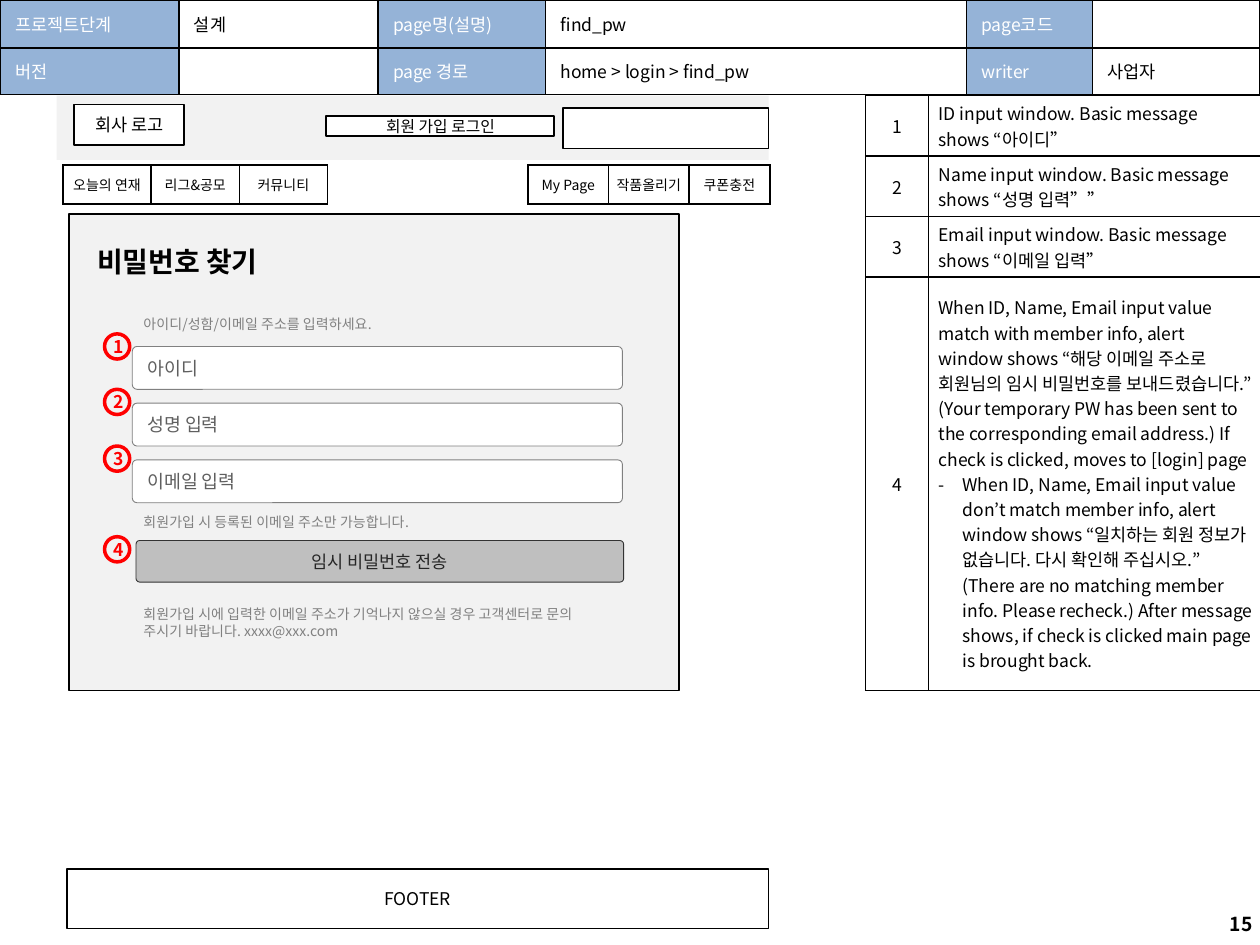
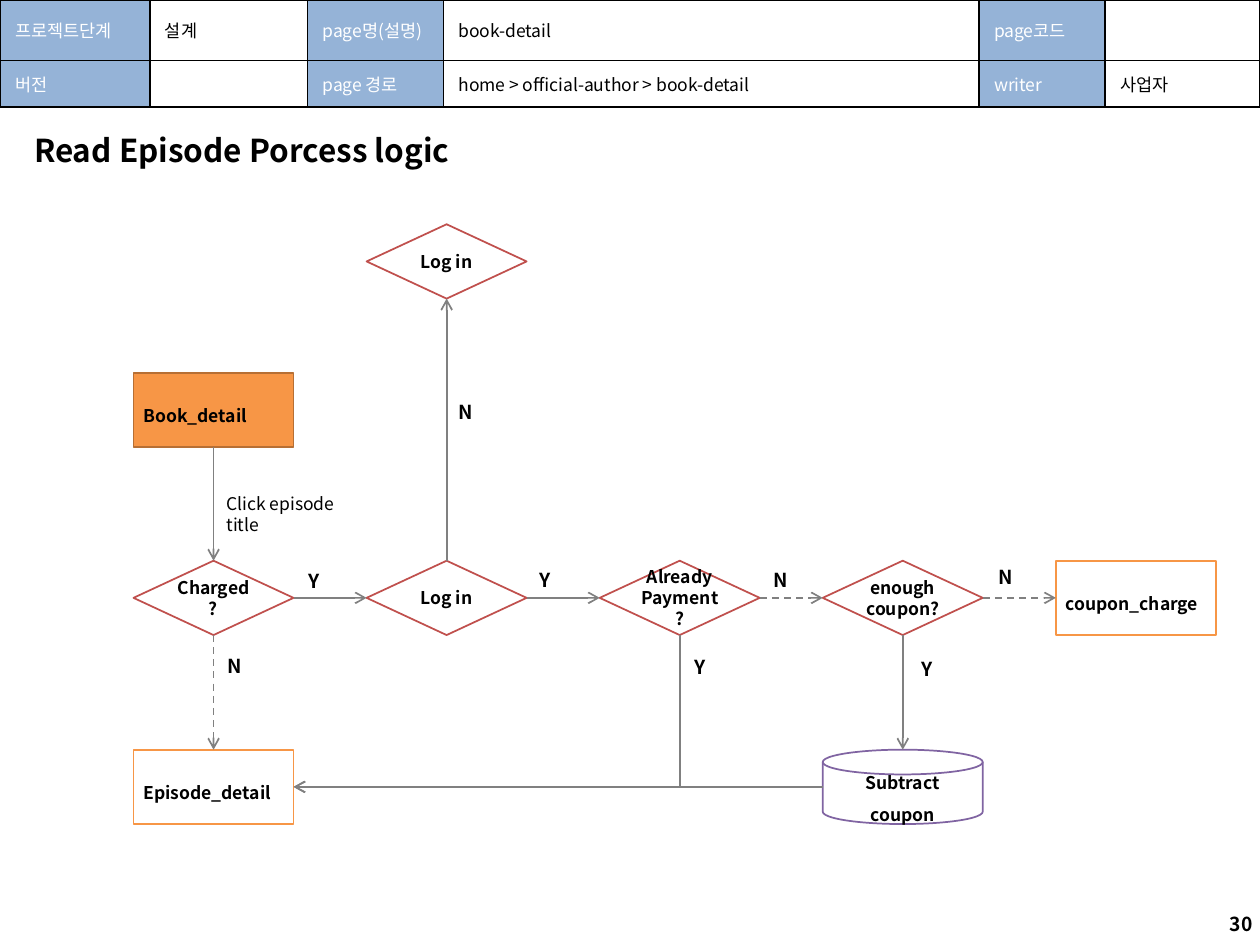
import dataclasses

import pptx
import pptx.dml.color
import pptx.enum.dml
import pptx.enum.shapes
import pptx.enum.text
import pptx.oxml.ns
import pptx.util
from lxml import etree

Inches, Pt = pptx.util.Inches, pptx.util.Pt
RGB = pptx.dml.color.RGBColor.from_string
MSO = pptx.enum.shapes.MSO_SHAPE
LINK = pptx.enum.shapes.MSO_CONNECTOR
ALIGN = pptx.enum.text.PP_ALIGN
ANCHOR = pptx.enum.text.MSO_ANCHOR
qn = pptx.oxml.ns.qn


@dataclasses.dataclass(frozen=True)
class Theme:
    font: str = "Noto Sans CJK KR"
    field_font: str = "Roboto"
    button_font: str = "Calibri"
    black: str = "000000"
    white: str = "FFFFFF"
    label: str = "95B3D7"
    panel: str = "F2F2F2"
    gray: str = "808080"
    field_text: str = "5F5F5F"
    button: str = "BFBFBF"
    button_line: str = "333333"
    button_text: str = "262626"
    marker: str = "FF0000"
    start: str = "F79646"
    start_line: str = "B76F34"
    decision: str = "C0504D"
    store: str = "8064A2"
    small: float = 8
    login: float = 9
    body: float = 10
    field: float = 10.5
    emphasis: float = 11
    heading: float = 16
    title: float = 18


T = Theme()


def write(frame, text, size=T.body, color=T.black, bold=False, font=T.font,
          align=ALIGN.LEFT, spacing=None):
    """Fill a text frame, one paragraph per line of text."""
    frame.word_wrap = True
    for number, line in enumerate(text.split("\n")):
        paragraph = frame.add_paragraph() if number else frame.paragraphs[0]
        paragraph.alignment = align
        if spacing:
            paragraph.line_spacing = spacing
        if not line:
            etree.SubElement(paragraph._p, qn("a:endParaRPr"), sz=str(int(size * 100)))
            continue
        run = paragraph.add_run()
        run.text = line
        run.font.size, run.font.bold, run.font.name = Pt(size), bold, font
        run.font.color.rgb = RGB(color)
        etree.SubElement(run.font._element, qn("a:ea"), typeface=T.font)


def box(slide, at, text="", kind=None, fill=None, line=None, width=1, radius=None,
        insets=(0.1, 0.05), anchor=ANCHOR.MIDDLE, **style):
    """Add a preset shape, or a text box when no kind is given."""
    at = [Inches(value) for value in at]
    if kind is None:
        shape = slide.shapes.add_textbox(*at)
    else:
        shape = slide.shapes.add_shape(kind, *at)
        shape.shadow.inherit = False
        for paint, color in ((shape.fill, fill), (shape.line.fill, line)):
            if color:
                paint.solid()
                paint.fore_color.rgb = RGB(color)
            else:
                paint.background()
        if line:
            shape.line.width = Pt(width)
        if radius:
            shape.adjustments[0] = radius
    frame = shape.text_frame
    frame.margin_left = frame.margin_right = Inches(insets[0])
    frame.margin_top = frame.margin_bottom = Inches(insets[1])
    frame.vertical_anchor = anchor
    if text:
        write(frame, text, **style)
    return shape


prs = pptx.Presentation()
prs.slide_width, prs.slide_height = Inches(10), Inches(7.5)
find_pw, book_detail = [prs.slides.add_slide(prs.slide_layouts[5]) for _ in range(2)]

# Page information, navigation and description tables
page_info = [
    (find_pw, "find_pw", "home > login > find_pw", "15",
     (1.42, 1.58, 1.33, 3.34, 1, 1.33), (0.38, 0.37)),
    (book_detail, "book-detail", "home > official-author > book-detail", "30",
     (1.19, 1.25, 1.08, 4.25, 1, 1.23), (0.48, 0.37)),
]
tables = []
for slide, page, route, number, columns, rows in page_info:
    cells = [["프로젝트단계", "설계", "page명(설명)", page, "page코드", ""],
             ["버전", "", "page 경로", route, "writer", "사업자"]]
    tables.append((slide, "info", 0, 0, columns, rows, cells))
    box(slide, (7.71, 7.13, 2.33, 0.4), number, size=T.emphasis, bold=True, align=ALIGN.RIGHT)

descriptions = [
    "ID input window. Basic message shows “아이디”",
    "Name input window. Basic message shows “성명 입력””",
    "Email input window. Basic message shows “이메일 입력”",
    "When ID, Name, Email input value match with member info, alert window shows "
    "“해당 이메일 주소로 회원님의 임시 비밀번호를 보내드렸습니다.” (Your temporary PW has been "
    "sent to the corresponding email address.) If check is clicked, moves to [login] page\n"
    "When ID, Name, Email input value don’t match member info, alert window shows "
    "“일치하는 회원 정보가 없습니다. 다시 확인해 주십시오.” (There are no matching member info. "
    "Please recheck.) After message shows, if check is clicked main page is brought back.",
]
tables += [
    (find_pw, "nav", 0.5, 1.31, (0.7,) * 3, (0.31,), [["오늘의 연재", "리그&공모", "커뮤니티"]]),
    (find_pw, "nav", 4.19, 1.31, (0.64,) * 3, (0.31,), [["My Page", "작품올리기", "쿠폰충전"]]),
    (find_pw, "notes", 6.87, 0.76, (0.5, 2.65), (0.48, 0.48, 0.48, 3.28),
     [[str(n), text] for n, text in enumerate(descriptions, 1)]),
]
cell_insets = {"info": (0.12, 0.04), "nav": (0.04, 0.05), "notes": (0.08, 0.04)}

for slide, role, left, top, columns, rows, cells in tables:
    grid = slide.shapes.add_table(len(rows), len(columns), Inches(left), Inches(top),
                                  Inches(sum(columns)), Inches(sum(rows))).table
    grid.first_row = grid.horz_banding = False
    for column, width in zip(grid.columns, columns):
        column.width = Inches(width)
    for r, height in enumerate(rows):
        grid.rows[r].height = Inches(height)
        for c, text in enumerate(cells[r]):
            cell = grid.cell(r, c)
            cell.margin_left = cell.margin_right = Inches(cell_insets[role][0])
            cell.margin_top = cell.margin_bottom = Inches(cell_insets[role][1])
            cell.vertical_anchor = ANCHOR.MIDDLE
            for side in ("a:lnL", "a:lnR", "a:lnT", "a:lnB"):
                border = etree.SubElement(cell._tc.get_or_add_tcPr(), qn(side), w="12700")
                paint = etree.SubElement(border, qn("a:solidFill"))
                etree.SubElement(paint, qn("a:srgbClr"), val=T.black)
            is_label = role == "info" and c % 2 == 0
            if is_label or role == "nav":
                cell.fill.solid()
                cell.fill.fore_color.rgb = RGB(T.label if is_label else T.white)
            else:
                cell.fill.background()
            centered = role == "nav" or (role == "notes" and c == 0)
            write(cell.text_frame, text, size=T.small if role == "nav" else T.body,
                  color=T.white if is_label else T.black,
                  align=ALIGN.CENTER if centered else ALIGN.LEFT)
            for paragraph in cell.text_frame.paragraphs[1:]:
                props = paragraph._p.get_or_add_pPr()
                props.set("marL", str(Inches(0.19)))
                props.set("indent", str(-Inches(0.19)))
                etree.SubElement(props, qn("a:buFont"), typeface=T.font)
                etree.SubElement(props, qn("a:buChar"), char="-")

# Password page: site header, form panel and footer
box(find_pw, (0.45, 0.76, 5.65, 0.51), kind=MSO.RECTANGLE, fill=T.panel)
form_panel = box(find_pw, (0.55, 1.7, 4.84, 3.78), kind=MSO.RECTANGLE, fill=T.panel, line=T.black)
for at, text, size in [
    ((0.59, 0.83, 0.87, 0.32), "회사 로고", T.body),
    ((4.47, 0.86, 1.63, 0.32), "", T.body),
    ((2.59, 0.92, 1.81, 0.16), "회원 가입 로그인", T.login),
    ((0.53, 6.9, 5.57, 0.47), "FOOTER", T.body),
]:
    box(find_pw, at, text, MSO.RECTANGLE, T.white, T.black, size=size, align=ALIGN.CENTER)

for top, text in [(2.75, "아이디"), (3.2, "성명 입력"), (3.65, "이메일 입력")]:
    box(find_pw, (1.05, top, 3.89, 0.34), text, MSO.ROUNDED_RECTANGLE, T.white, T.gray, 0.5,
        0.108, (0.11, 0.07), size=T.field, color=T.field_text, font=T.field_font)
box(find_pw, (1.08, 4.29, 3.87, 0.33), "임시 비밀번호 전송", MSO.ROUNDED_RECTANGLE, T.button,
    T.button_line, 0.5, 0.088, color=T.button_text, font=T.button_font, align=ALIGN.CENTER)

for top, width, hint in [
    (2.42, 3.32, "아이디/성함/이메일 주소를 입력하세요."),
    (3.99, 3.32, "회원가입 시 등록된 이메일 주소만 가능합니다."),
    (4.79, 3.92, "회원가입 시에 입력한 이메일 주소가 기억나지 않으실 경우 고객센터로 문의 "
                 "주시기 바랍니다. xxxx@xxx.com"),
]:
    box(find_pw, (1.04, top, width, 0.3), hint, size=T.small, color=T.gray)

for number, top in enumerate((2.65, 3.09, 3.54, 4.26), 1):
    box(find_pw, (0.83, top, 0.2, 0.2), str(number), MSO.OVAL, line=T.marker, width=2,
        color=T.marker, bold=True, align=ALIGN.CENTER)

# Titles
for slide, text, at, size, insets, anchor in [
    (find_pw, "비밀번호 찾기", (0.69, 1.89, 1.48, 0.37), T.heading, (0.08, 0.04), ANCHOR.MIDDLE),
    (book_detail, "Read Episode Porcess logic", (0.17, 0.99, 6.8, 0.4), T.title, (0.1, 0.05),
     ANCHOR.TOP),
]:
    title = slide.shapes.title
    title.left, title.top, title.width, title.height = [Inches(value) for value in at]
    frame = title.text_frame
    frame.auto_size = pptx.enum.text.MSO_AUTO_SIZE.NONE
    frame.margin_left = frame.margin_right = Inches(insets[0])
    frame.margin_top = frame.margin_bottom = Inches(insets[1])
    frame.vertical_anchor = anchor
    write(frame, text, size=size, bold=True)
form_panel.element.addnext(find_pw.shapes.title.element)

# Episode flow: steps
STEP_W, STEP_H = 1.27, 0.59
decision = dict(kind=MSO.FLOWCHART_DECISION, fill=T.white, line=T.decision, insets=(0, 0),
                align=ALIGN.CENTER)
screen = dict(kind=MSO.RECTANGLE, fill=T.white, line=T.start, insets=(0.08, 0.04), spacing=1.5)
start = {**screen, "fill": T.start, "line": T.start_line}
store = {**screen, "kind": MSO.FLOWCHART_MAGNETIC_DISK, "line": T.store, "align": ALIGN.CENTER}
steps = {}
for key, left, top, text, look in [
    ("book", 1.06, 2.96, "Book_detail", start),
    ("login page", 2.91, 1.78, "Log in", decision),
    ("charged", 1.06, 4.45, "Charged?", decision),
    ("episode", 1.06, 5.95, "Episode_detail", screen),
    ("logged in", 2.91, 4.45, "Log in", decision),
    ("paid", 4.76, 4.45, "Already\nPayment?", decision),
    ("enough", 6.53, 4.45, "enough\ncoupon?", decision),
    ("charge", 8.38, 4.45, "coupon_charge", screen),
    ("subtract", 6.53, 5.95, "Subtract coupon", store),
]:
    steps[key] = box(book_detail, (left, top, STEP_W, STEP_H), text, bold=True, **look)

# Episode flow: arrows between side middles
TOP, LEFT, BOTTOM, RIGHT = range(4)
for source, out_side, target, in_side, dashed in [
    ("book", BOTTOM, "charged", TOP, False),
    ("charged", RIGHT, "logged in", LEFT, False),
    ("charged", BOTTOM, "episode", TOP, True),
    ("logged in", TOP, "login page", BOTTOM, False),
    ("logged in", RIGHT, "paid", LEFT, False),
    ("paid", RIGHT, "enough", LEFT, True),
    ("paid", BOTTOM, "episode", RIGHT, False),
    ("enough", RIGHT, "charge", LEFT, True),
    ("enough", BOTTOM, "subtract", TOP, False),
    ("subtract", LEFT, "episode", RIGHT, False),
]:
    ends = []
    for key, side in ((source, out_side), (target, in_side)):
        step = steps[key]
        ends += [int(step.left + step.width * (0.5, 0, 0.5, 1)[side]),
                 int(step.top + step.height * (0, 0.5, 1, 0.5)[side])]
    bent = (source, target) == ("paid", "episode")
    arrow = book_detail.shapes.add_connector(LINK.ELBOW if bent else LINK.STRAIGHT, *ends)
    # The disk numbers its connection sites differently, so its ends stay free
    if source != "subtract":
        arrow.begin_connect(steps[source], out_side)
    if target != "subtract":
        arrow.end_connect(steps[target], in_side)
    props = arrow._element.spPr
    if bent:
        # One corner, turned a quarter: the frame keeps its centre and swaps its sides
        x1, y1, x2, y2 = ends
        drop, reach = y2 - y1, x1 - x2
        arrow.left, arrow.top = (x1 + x2 - drop) // 2, (y1 + y2 - reach) // 2
        arrow.width, arrow.height = drop, reach
        frame = props.find(qn("a:xfrm"))
        for flip in ("flipH", "flipV"):
            frame.attrib.pop(flip, None)
        frame.set("rot", "5400000")
        props.find(qn("a:prstGeom")).set("prst", "bentConnector2")
    arrow.line.color.rgb = RGB(T.gray)
    arrow.line.width = Pt(1)
    if dashed:
        arrow.line.dash_style = pptx.enum.dml.MSO_LINE.DASH
    etree.SubElement(props.find(qn("a:ln")), qn("a:tailEnd"), type="arrow")
    etree.SubElement(props, qn("a:effectLst"))

# Episode flow: answers beside the arrows
for left, top, answer in [
    (2.33, 4.47, "Y"), (3.53, 3.13, "N"), (4.16, 4.46, "Y"), (7.19, 5.17, "Y"),
    (7.82, 4.44, "N"), (1.7, 5.14, "N"), (5.39, 5.15, "Y"), (6.03, 4.46, "N"),
]:
    box(book_detail, (left, top, 0.33, 0.29), answer, anchor=ANCHOR.TOP, size=T.emphasis,
        bold=True, align=ALIGN.CENTER)
box(book_detail, (1.7, 3.86, 1.1, 0.44), "Click episode title", anchor=ANCHOR.TOP)

prs.save("out.pptx")
